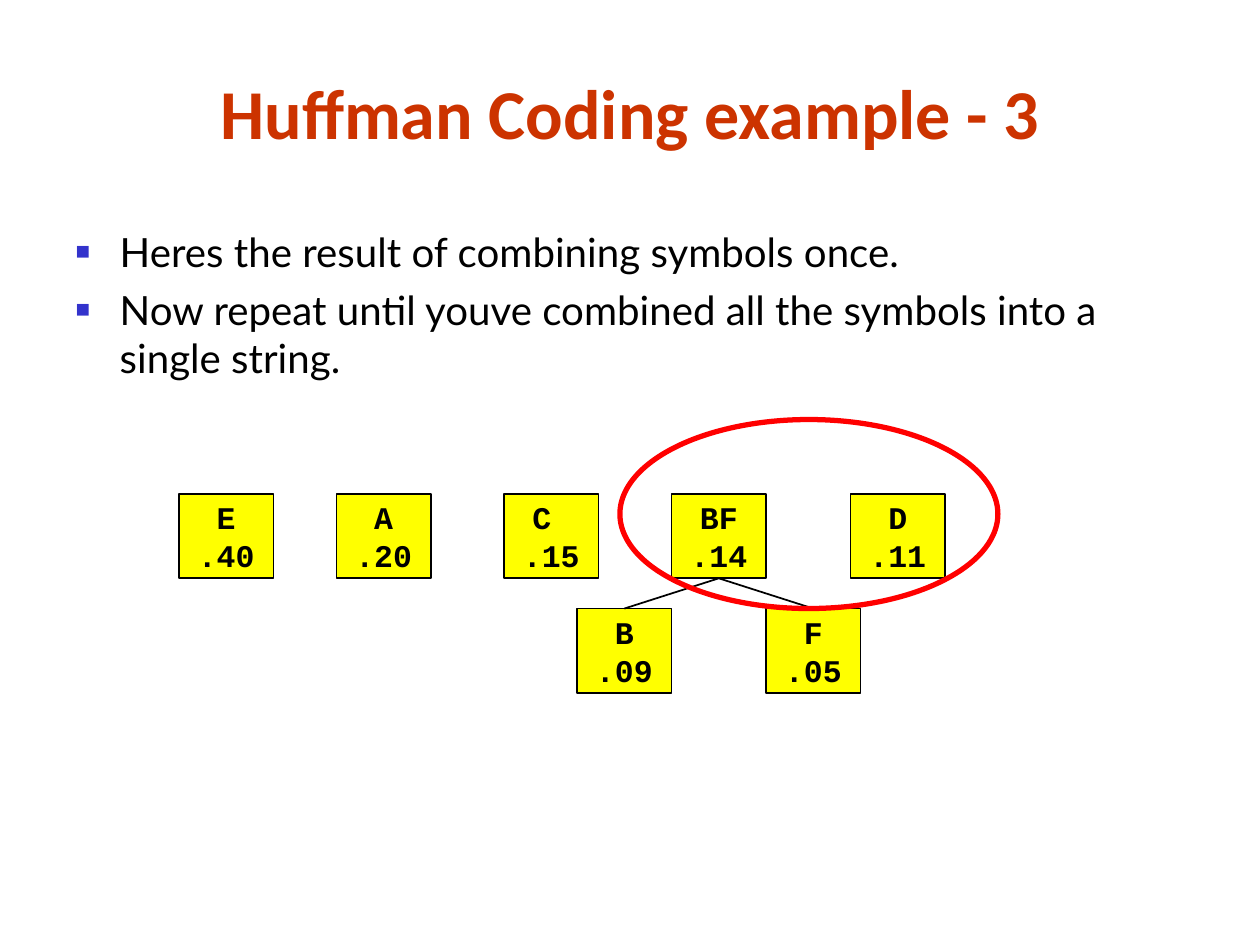
from lxml.etree import SubElement
from pptx import Presentation
from pptx.dml.color import RGBColor
from pptx.enum.shapes import MSO_CONNECTOR, MSO_SHAPE
from pptx.enum.text import MSO_ANCHOR, MSO_AUTO_SIZE, PP_ALIGN
from pptx.oxml.ns import qn
from pptx.util import Inches, Pt

TITLE_FONT = {"name": "Calibri", "size": Pt(40), "bold": True}
BODY_FONT = {"name": "Lato", "size": Pt(23), "bold": False}
NODE_FONT = {"name": "Courier New", "size": Pt(18), "bold": True}
NODE_WIDTH, NODE_HEIGHT = 0.75, 0.67
ROOT_TOP, LEAF_TOP = 3.92, 4.83
NODES = [
    ("E", ".40", 1.42, ROOT_TOP),
    ("A", ".20", 2.67, ROOT_TOP),
    ("C ", ".15", 4, ROOT_TOP),
    ("BF", ".14", 5.33, ROOT_TOP),
    ("D", ".11", 6.75, ROOT_TOP),
    ("B", ".09", 4.58, LEAF_TOP),
    ("F", ".05", 6.08, LEAF_TOP),
]
BRANCHES = [("BF", "B"), ("BF", "F")]


def color(hex_value):
    """Return the colour for a hex string."""
    return RGBColor.from_string(hex_value)


def set_values(target, values):
    """Set each named attribute of the target."""
    for name, value in values.items():
        setattr(target, name, value)


def place(shape, left, top, width, height):
    """Move and size a shape, given inches."""
    set_values(shape, {"left": Inches(left), "top": Inches(top),
                       "width": Inches(width), "height": Inches(height)})


def add_text(paragraph, text, font_values, hex_value):
    """Add one formatted run to a paragraph."""
    run = paragraph.add_run()
    run.text = text
    set_values(run.font, font_values)
    run.font.color.rgb = color(hex_value)


def set_line(shape, hex_value, width):
    """Give an outline its colour and width in points."""
    shape.line.color.rgb = color(hex_value)
    shape.line.width = Pt(width)


def add_bullet(paragraph):
    """Give a paragraph a hanging square bullet."""
    properties = paragraph._p.get_or_add_pPr()
    properties.set("marL", str(Inches(0.35)))
    properties.set("indent", str(-Inches(0.35)))
    bullet_color = SubElement(properties, qn("a:buClr"))
    SubElement(bullet_color, qn("a:srgbClr"), val="3333CC")
    SubElement(properties, qn("a:buSzPct"), val="60000")
    SubElement(properties, qn("a:buChar"), char="■")


def fill_title(slide, text):
    """Place and write the title."""
    title = slide.shapes.title
    place(title, 0.75, 0.5, 8.5, 0.77)
    set_values(title.text_frame, {"auto_size": MSO_AUTO_SIZE.NONE,
                                  "vertical_anchor": MSO_ANCHOR.MIDDLE})
    paragraph = title.text_frame.paragraphs[0]
    paragraph.alignment = PP_ALIGN.CENTER
    add_text(paragraph, text, TITLE_FONT, "CC3300")


def fill_body(slide, items):
    """Place and write the bulleted list."""
    body = slide.placeholders[1]
    place(body, 0.5, 1.75, 9, 1.33)
    frame = body.text_frame
    frame.auto_size = MSO_AUTO_SIZE.NONE
    for index, item in enumerate(items):
        paragraph = frame.add_paragraph() if index else frame.paragraphs[0]
        add_bullet(paragraph)
        paragraph.space_before = Pt(5.8 if index else 0)
        add_text(paragraph, item, BODY_FONT, "000000")


def add_node(slide, symbol, probability, left, top):
    """Add a tree node with its symbol and probability."""
    node = slide.shapes.add_shape(MSO_SHAPE.RECTANGLE, Inches(left), Inches(top),
                                  Inches(NODE_WIDTH), Inches(NODE_HEIGHT))
    node.shadow.inherit = False
    node.fill.solid()
    node.fill.fore_color.rgb = color("FFFF00")
    set_line(node, "000000", 1)
    frame = node.text_frame
    set_values(frame, {"word_wrap": False, "vertical_anchor": MSO_ANCHOR.MIDDLE})
    for paragraph, text in ((frame.paragraphs[0], symbol),
                            (frame.add_paragraph(), probability)):
        paragraph.alignment = PP_ALIGN.CENTER
        add_text(paragraph, text, NODE_FONT, "000000")
    return node


def add_branch(slide, parent, child):
    """Join the bottom of a parent node to the top of a child node."""
    branch = slide.shapes.add_connector(MSO_CONNECTOR.STRAIGHT, 0, 0, 0, 0)
    branch.begin_connect(parent, 2)
    branch.end_connect(child, 0)
    set_line(branch, "000000", 1)
    SubElement(branch._element.spPr, qn("a:effectLst"))


def add_highlight(slide):
    """Circle the two symbols to combine next."""
    ellipse = slide.shapes.add_shape(MSO_SHAPE.OVAL, Inches(4.92), Inches(3.33),
                                     Inches(3), Inches(1.5))
    ellipse.shadow.inherit = False
    ellipse.fill.background()
    set_line(ellipse, "FF0000", 3)


def main():
    """Build and save the slide."""
    presentation = Presentation()
    set_values(presentation, {"slide_width": Inches(10), "slide_height": Inches(7.5)})
    slide = presentation.slides.add_slide(presentation.slide_layouts[1])
    fill_title(slide, "Huffman Coding example - 3")
    fill_body(slide, [
        "Heres the result of combining symbols once.",
        "Now repeat until youve combined all the symbols into a single string.",
    ])
    nodes = {node[0]: add_node(slide, *node) for node in NODES}
    for parent, child in BRANCHES:
        add_branch(slide, nodes[parent], nodes[child])
    add_highlight(slide)
    presentation.save("out.pptx")


if __name__ == "__main__":
    main()
